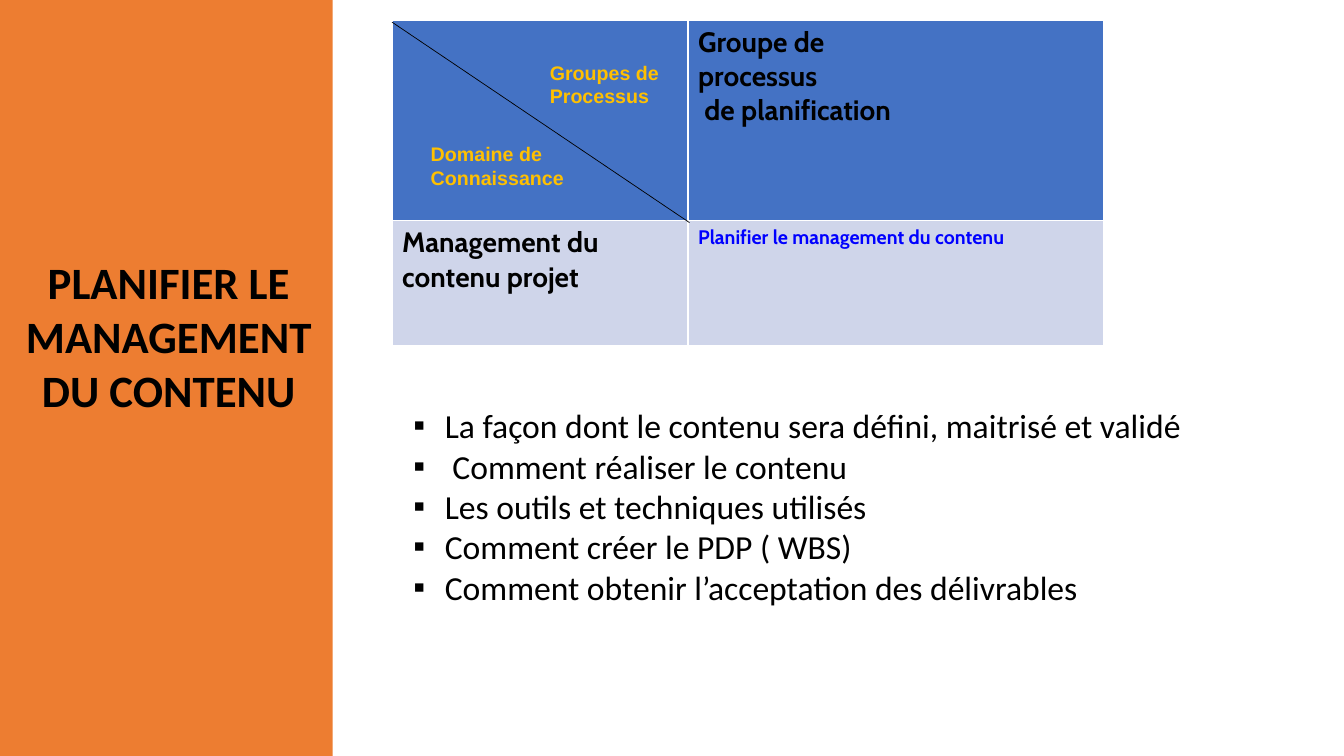
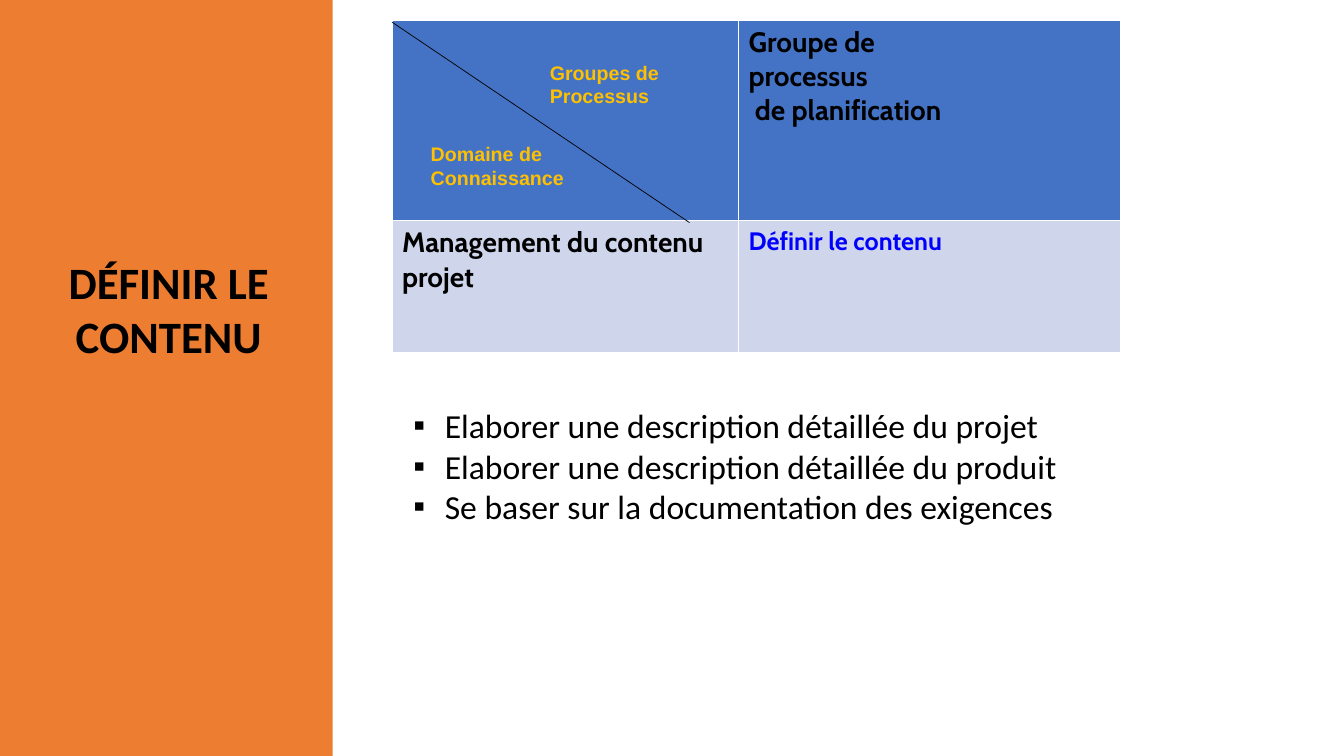
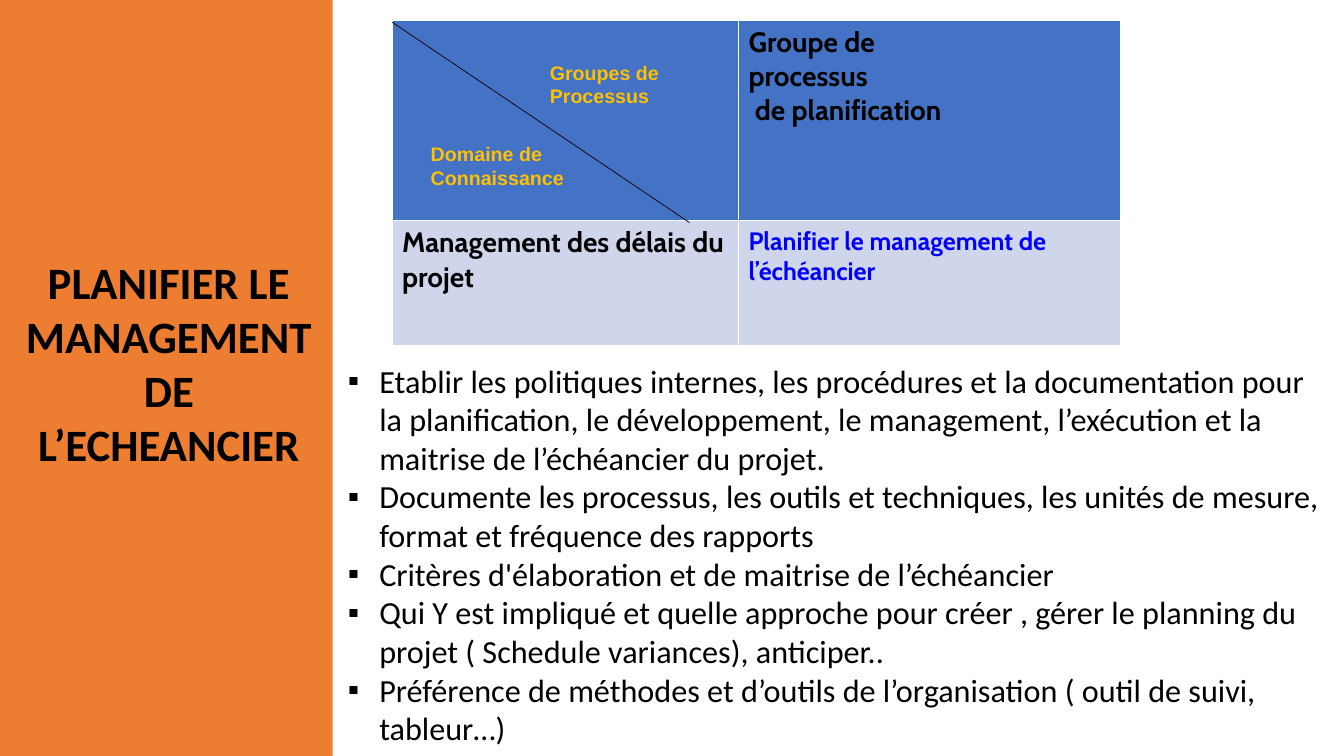
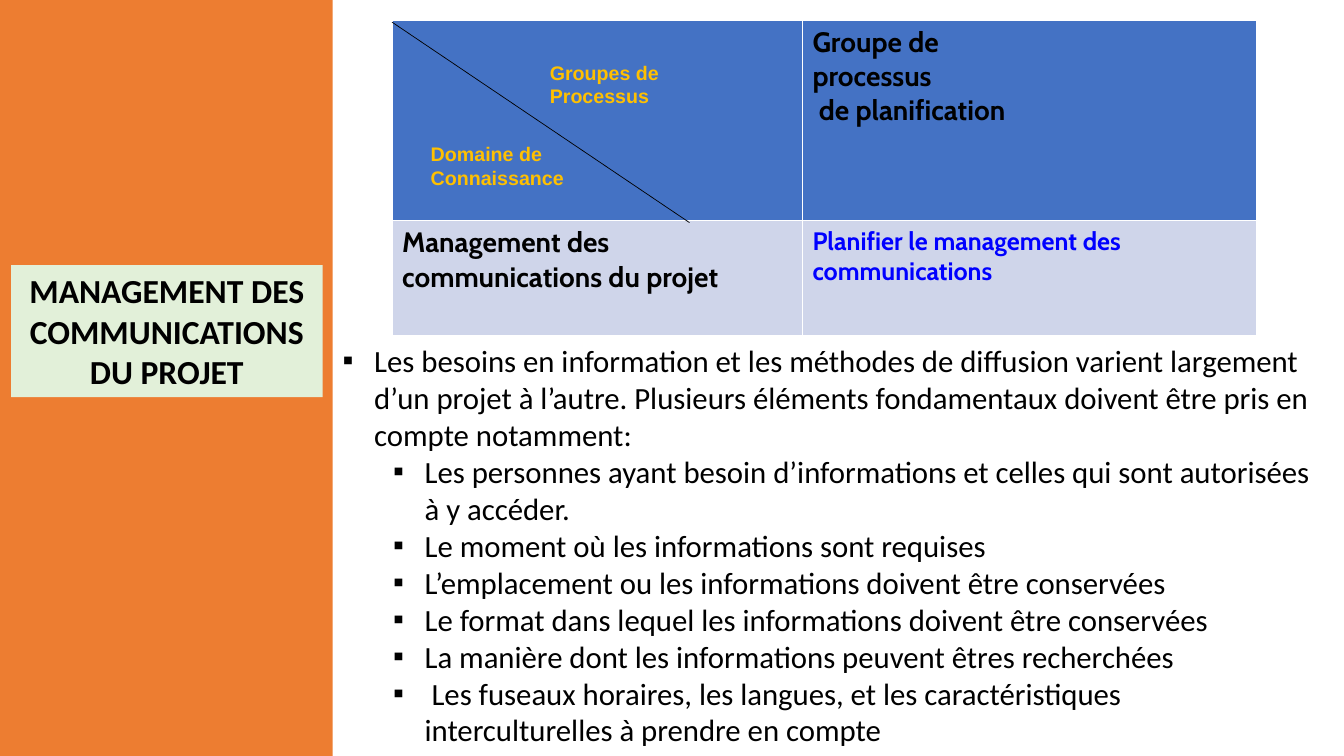
from dataclasses import dataclass

from pptx import Presentation
from pptx.dml.color import RGBColor
from pptx.enum import shapes, text
from pptx.oxml import ns, xmlchemy
from pptx.util import Pt


@dataclass(frozen=True)
class Theme:
    orange: str = "ED7D31"
    mint: str = "E2F0D9"
    blue: str = "4472C4"
    pale_blue: str = "CFD5EA"
    link_blue: str = "0000FF"
    gold: str = "FFC000"
    black: str = "000000"
    body_font: str = "Calibri"
    table_font: str = "Cabin"
    label_font: str = "Arial"
    title_size: float = 32
    table_size: float = 20
    label_size: float = 14


T = Theme()
SLIDE_W, SLIDE_H = 960, 540
BAND_W = 237.6
TABLE_X, TABLE_Y = 280, 14.4
HEADER_H = 143.3
BULLET_INDENT, LEVEL_INDENT = 22.5, 36
LABEL_INDENT = 63

SLIDES = [
    dict(
        title="PLANIFIER LE MANAGEMENT DU CONTENU",
        title_box=(0, 178.6, 241.2, 123.8),
        cols=(211.5, 296.5), row_h=89,
        domain="Management du contenu projet",
        process="Planifier le management du contenu", process_size=14,
        body_box=(288, 285.8, 582.5, 152.6), body_size=24,
        bullets=[
            "La façon dont le contenu sera défini, maitrisé et validé",
            " Comment réaliser le contenu",
            "Les outils et techniques utilisés",
            "Comment créer le PDP ( WBS)",
            "Comment obtenir l’acceptation des délivrables",
        ],
    ),
    dict(
        title="DÉFINIR LE CONTENU",
        title_box=(0, 178.6, 241.2, 85),
        cols=(247.5, 273.2), row_h=94,
        domain="Management du contenu projet",
        process="Définir le contenu",
        body_box=(288, 285.8, 582.5, 152.6), body_size=24,
        bullets=[
            "Elaborer une description détaillée du projet",
            "Elaborer une description détaillée du produit",
            "Se baser sur la documentation des exigences",
        ],
    ),
    dict(
        title="PLANIFIER LE MANAGEMENT DE L’ECHEANCIER",
        title_box=(0, 178.6, 241.2, 162.7),
        cols=(247.5, 273.2), row_h=89,
        domain="Management des délais du projet",
        process="Planifier le management de l’échéancier",
        body_box=(241.2, 254.2, 718.6, 285.8), body_size=23,
        bullets=[
            "Etablir les politiques internes, les procédures et la documentation pour la "
            "planification, le développement, le management, l’exécution et la maitrise "
            "de l’échéancier du projet.",
            "Documente les processus, les outils et techniques, les unités de mesure, "
            "format et fréquence des rapports",
            "Critères d'élaboration et de maitrise de l’échéancier",
            "Qui Y est impliqué et quelle approche pour créer , gérer le planning du projet "
            "( Schedule variances), anticiper..",
            "Préférence de méthodes et d’outils de l’organisation ( outil de suivi, "
            "tableur…)",
        ],
    ),
    dict(
        title="MANAGEMENT DES COMMUNICATIONS DU PROJET",
        title_box=(7.9, 189.4, 222.5, 94.3), title_size=24, title_fill=T.mint,
        cols=(293.2, 324.2), row_h=82,
        domain="Management des communications du projet",
        process="Planifier le management des communications",
        body_box=(237.6, 240.5, 709.2, 299.5), body_size=22,
        bullets=[
            "Les besoins en information et les méthodes de diffusion varient largement d’un "
            "projet à l’autre. Plusieurs éléments fondamentaux doivent être pris en compte "
            "notamment:",
            ("Les personnes ayant besoin d’informations et celles qui sont autorisées à y "
             "accéder.", 1),
            ("Le moment où les informations sont requises", 1),
            ("L’emplacement ou les informations doivent être conservées", 1),
            ("Le format dans lequel les informations doivent être conservées", 1),
            ("La manière dont les informations peuvent êtres recherchées", 1),
            (" Les fuseaux horaires, les langues, et les caractéristiques interculturelles "
             "à prendre en compte", 1),
        ],
    ),
]


def rgb(value):
    return RGBColor.from_string(value)


def fill(target, color):
    target.fill.solid()
    target.fill.fore_color.rgb = rgb(color)


def place(sp, box):
    sp.left, sp.top, sp.width, sp.height = (Pt(v) for v in box)


def write(p, content, *, size, font=T.body_font, color=T.black, bold=False,
          align=text.PP_ALIGN.LEFT, indent=0, hanging=0, bullet=None):
    p.text = content
    p.alignment = align
    p.space_before = Pt(0)
    p.line_spacing = 1.0
    pPr = p._p.get_or_add_pPr()
    pPr.set("marL", str(Pt(indent)))
    pPr.set("indent", str(Pt(-hanging)))
    if bullet:
        mark = pPr.makeelement(ns.qn("a:buChar"), {"char": bullet})
        pPr.append(mark)
    for r in p.runs:
        r.font.size, r.font.name, r.font.bold = Pt(size), font, bold
        r.font.color.rgb = rgb(color)


def write_lines(tf, lines, **style):
    for i, line in enumerate(lines):
        write(tf.add_paragraph() if i else tf.paragraphs[0], line, **style)


def top_frame(sp):
    """Return the shape's text frame, wrapped, unscaled and anchored at the top."""
    tf = sp.text_frame
    tf.word_wrap = True
    tf.auto_size = text.MSO_AUTO_SIZE.NONE
    tf.vertical_anchor = text.MSO_ANCHOR.TOP
    return tf


def add_band(s):
    band = s.shapes.add_shape(shapes.MSO_SHAPE.RECTANGLE, 0, 0, Pt(BAND_W), Pt(SLIDE_H))
    band.shadow.inherit = False
    band.line.fill.background()
    fill(band, T.orange)
    s.shapes._spTree.insert(2, band._element)  # behind the placeholders


def set_title(s, content, box, size=T.title_size, color=None):
    sp = s.shapes.title
    place(sp, box)
    if color:
        fill(sp, color)
    write(top_frame(sp).paragraphs[0], content, size=size, bold=True,
          align=text.PP_ALIGN.CENTER)


def set_bullets(s, items, box, size):
    sp = s.placeholders[1]
    place(sp, box)
    tf = top_frame(sp)
    for i, item in enumerate(items):
        content, level = (item, 0) if isinstance(item, str) else item
        p = tf.add_paragraph() if i else tf.paragraphs[0]
        p.level = level
        write(p, content, size=size, bullet="▪", hanging=BULLET_INDENT,
              indent=BULLET_INDENT + level * LEVEL_INDENT)


def add_process_table(s, cols, row_h, domain, process, process_size):
    table = s.shapes.add_table(2, 2, Pt(TABLE_X), Pt(TABLE_Y), Pt(sum(cols)),
                               Pt(HEADER_H + row_h)).table
    for column, width in zip(table.columns, cols):
        column.width = Pt(width)
    for row, height, color in zip(table.rows, (HEADER_H, row_h), (T.blue, T.pale_blue)):
        row.height = Pt(height)
        for cell in row.cells:
            fill(cell, color)
    entries = [
        (0, 1, "Groupe de \vprocessus\v de planification", T.table_size, T.black),
        (1, 0, domain, T.table_size, T.black),
        (1, 1, process, process_size, T.link_blue),
    ]
    for row, col, content, size, color in entries:
        write(table.cell(row, col).text_frame.paragraphs[0], content, size=size,
              font=T.table_font, color=color, bold=True)


def add_diagonal(s):
    line = s.shapes.add_connector(shapes.MSO_CONNECTOR.STRAIGHT, Pt(TABLE_X), Pt(15.8),
                                  Pt(492.5), Pt(159))
    line.line.color.rgb = rgb(T.black)
    line.line.width = Pt(0.5)
    line._element.spPr.append(xmlchemy.OxmlElement("a:effectLst"))


def add_axis_label(s, lines, box):
    sp = s.shapes.add_textbox(*(Pt(v) for v in box))
    write_lines(top_frame(sp), lines, size=T.label_size, font=T.label_font,
                color=T.gold, bold=True, indent=LABEL_INDENT)


def add_process_slide(prs, d):
    s = prs.slides.add_slide(prs.slide_layouts[1])
    add_band(s)
    set_title(s, d["title"], d["title_box"], d.get("title_size", T.title_size),
              d.get("title_fill"))
    add_process_table(s, d["cols"], d["row_h"], d["domain"], d["process"],
                      d.get("process_size", 18))
    add_diagonal(s)
    add_axis_label(s, ["Groupes de", "Processus"], (322.6, 39.6, 170, 58.3))
    add_axis_label(s, ["Domaine de", "Connaissance"], (237.6, 97.9, 187.2, 58.3))
    set_bullets(s, d["bullets"], d["body_box"], d["body_size"])


def main():
    prs = Presentation()
    prs.slide_width, prs.slide_height = Pt(SLIDE_W), Pt(SLIDE_H)
    for d in SLIDES:
        add_process_slide(prs, d)
    prs.save("out.pptx")


if __name__ == "__main__":
    main()
